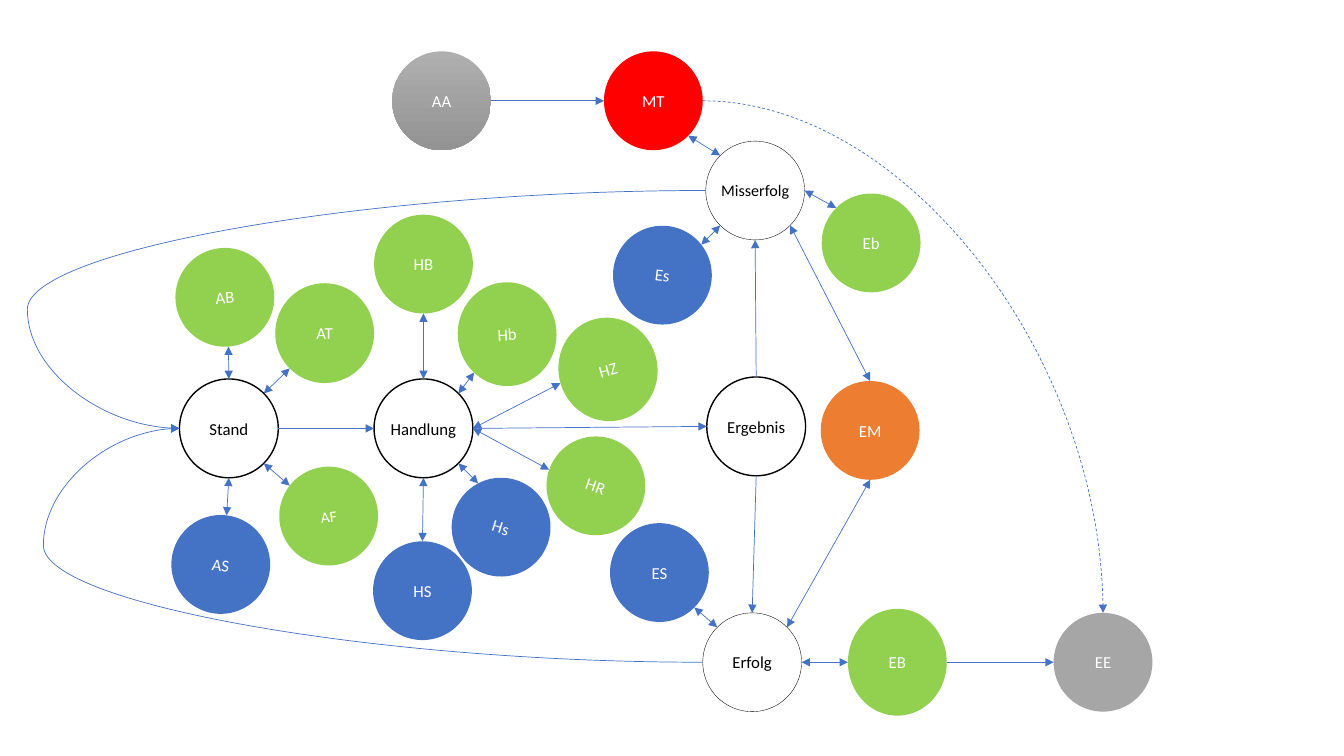
from math import cos, radians, sin

from lxml.etree import SubElement
from pptx import Presentation
from pptx.dml.color import RGBColor
from pptx.enum.dml import MSO_LINE
from pptx.enum.shapes import MSO_CONNECTOR, MSO_SHAPE
from pptx.enum.text import MSO_ANCHOR, PP_ALIGN
from pptx.oxml.ns import qn
from pptx.util import Emu, Pt

PX = 9144  # EMU per px, 100 px to the inch
SIZE = 98  # usual circle diameter
COLORS = {"green": "92D050", "blue": "4472C4", "red": "FF0000", "orange": "ED7D31",
          "gray": "A6A6A6", "gray_top": "AFAFAF", "gray_bottom": "939393",
          "white": "FFFFFF", "black": "000000"}
# Connection sites on a circle, in degrees clockwise from the right
SITES = {"R": 0, "BR": 45, "B": 90, "BL": 135, "L": 180, "TL": 225, "T": 270, "TR": 315}


class Diagram:
    def __init__(self, slide):
        self.shapes = slide.shapes
        self.font = "Calibri"
        self.circles = {}

    def color(self, name):
        return RGBColor.from_string(COLORS[name])

    def circle(self, label, left, top, fill, height=SIZE, rotation=0, outline=None, size=12):
        circle = self.shapes.add_shape(MSO_SHAPE.FLOWCHART_CONNECTOR,
                                       *(Emu(n * PX) for n in (left, top, SIZE, height)))
        circle.rotation = rotation
        circle.shadow.inherit = False
        if fill == "gradient":
            circle.fill.gradient()
            circle.fill.gradient_angle = 270
            for stop, shade in zip(circle.fill.gradient_stops, ("gray_top", "gray_bottom")):
                stop.color.rgb = self.color(shade)
                stop.position = float(shade == "gray_bottom")
        else:
            circle.fill.solid()
            circle.fill.fore_color.rgb = self.color(fill)
        if outline:
            circle.line.color.rgb = self.color("black")
            circle.line.width = Pt(outline)
        else:
            circle.line.fill.background()

        frame = circle.text_frame
        frame.margin_left = frame.margin_right = frame.margin_top = frame.margin_bottom = 0
        frame.vertical_anchor = MSO_ANCHOR.MIDDLE
        frame.word_wrap = False
        paragraph = frame.paragraphs[0]
        paragraph.text = label
        paragraph.alignment = PP_ALIGN.CENTER
        paragraph.font.name = self.font
        paragraph.font.size = Pt(size)
        paragraph.font.color.rgb = self.color("black" if outline else "white")
        self.circles[label] = circle

    def site(self, label, name):
        """Point on the edge of a circle, turned along with it."""
        circle = self.circles[label]
        angle, turn = radians(SITES[name]), radians(circle.rotation)
        x, y = circle.width / 2 * cos(angle), circle.height / 2 * sin(angle)
        return (Emu(round(circle.left + circle.width / 2 + x * cos(turn) - y * sin(turn))),
                Emu(round(circle.top + circle.height / 2 + x * sin(turn) + y * cos(turn))))

    def arrow(self, start, start_site, end, end_site, both=False, kind=MSO_CONNECTOR.STRAIGHT):
        arrow = self.shapes.add_connector(kind, *self.site(start, start_site),
                                          *self.site(end, end_site))
        arrow.line.color.rgb = self.color("blue")
        arrow.line.width = Pt(0.5)
        line = arrow.line._get_or_add_ln()
        for tag in ("a:headEnd", "a:tailEnd") if both else ("a:tailEnd",):
            SubElement(line, qn(tag), type="triangle")
        SubElement(arrow._element.spPr, qn("a:effectLst"))
        return arrow

    def curve(self, start, start_site, end, end_site, bend=None):
        """With a bend (in 1/100000 of the width) an S or C curve, without one a quarter arc."""
        curve = self.arrow(start, start_site, end, end_site, kind=MSO_CONNECTOR.CURVE)
        geometry = curve._element.spPr.find(qn("a:prstGeom"))
        if bend is None:
            geometry.set("prst", "curvedConnector2")
        else:
            SubElement(geometry.find(qn("a:avLst")), qn("a:gd"), name="adj1", fmla=f"val {bend}")
        return curve


def main():
    prs = Presentation()
    prs.slide_width, prs.slide_height = Emu(1333 * PX), Emu(750 * PX)
    diagram = Diagram(prs.slides.add_slide(prs.slide_layouts[6]))

    # Main stages
    for label, left, top, outline, size in (
            ("Stand", 178, 376, 1, 12), ("Handlung", 371, 376, 1, 12),
            ("Ergebnis", 701, 374, 1, 12), ("Misserfolg", 700, 140, 0.25, 11.5),
            ("Erfolg", 697, 608, 0.25, 12)):
        diagram.circle(label, left, top, "white", outline=outline, size=size)

    # Start, end and mediating factors
    for label, left, top, fill in (
            ("MT", 599, 51, "red"), ("AA", 389, 51, "gradient"),
            ("EE", 1045, 608, "gray"), ("EM", 814, 378, "orange")):
        diagram.circle(label, left, top, fill)

    # Green factors
    for label, left, top, height, rotation, size in (
            ("AB", 174, 246, SIZE, 355.8, 12), ("AT", 273, 281, 99, 0, 12),
            ("AF", 277, 463, SIZE, 353, 11), ("Eb", 815, 192, SIZE, 0, 12),
            ("EB", 841, 604, 106, 0, 12), ("Hb", 454, 280, 103, 357.1, 12),
            ("HB", 371, 213, SIZE, 0, 12), ("HR", 542, 433, SIZE, 19, 12),
            ("HZ", 554, 315, 103, 343.9, 12)):
        diagram.circle(label, left, top, "green", height, rotation, size=size)

    # Blue factors
    for label, left, top, rotation in (
            ("AS", 170, 511, 6.8), ("Es", 608, 224, 6.9), ("ES", 605, 519, 0),
            ("HS", 370, 537, 0), ("Hs", 448, 474, 17.3)):
        diagram.circle(label, left, top, "blue", rotation=rotation)

    # Flow between stages
    for ends in (("AA", "R", "MT", "L"), ("Stand", "R", "Handlung", "L"),
                 ("Handlung", "R", "Ergebnis", "L"), ("Ergebnis", "T", "Misserfolg", "B"),
                 ("Ergebnis", "B", "Erfolg", "T"), ("EB", "R", "EE", "L")):
        diagram.arrow(*ends)

    # Mutual influences
    for ends in (("AB", "B", "Stand", "T"), ("AT", "BL", "Stand", "TR"),
                 ("AF", "TL", "Stand", "BR"), ("AS", "T", "Stand", "B"),
                 ("HB", "B", "Handlung", "T"), ("Hb", "BL", "Handlung", "TR"),
                 ("HZ", "L", "Handlung", "R"), ("HR", "L", "Handlung", "R"),
                 ("Hs", "TL", "Handlung", "BR"), ("HS", "T", "Handlung", "B"),
                 ("MT", "BR", "Misserfolg", "TL"), ("Es", "TR", "Misserfolg", "BL"),
                 ("Eb", "TL", "Misserfolg", "R"), ("Misserfolg", "BR", "EM", "T"),
                 ("EM", "B", "Erfolg", "TR"), ("ES", "BR", "Erfolg", "TL"),
                 ("EB", "L", "Erfolg", "R")):
        diagram.arrow(*ends, both=True)

    # Feedback loops and the dashed way out
    diagram.curve("Misserfolg", "L", "Stand", "L", bend=128900)
    diagram.curve("Erfolg", "L", "Stand", "L", bend=126000)
    diagram.curve("MT", "R", "EE", "T").line.dash_style = MSO_LINE.DASH

    prs.save("out.pptx")


if __name__ == "__main__":
    main()
